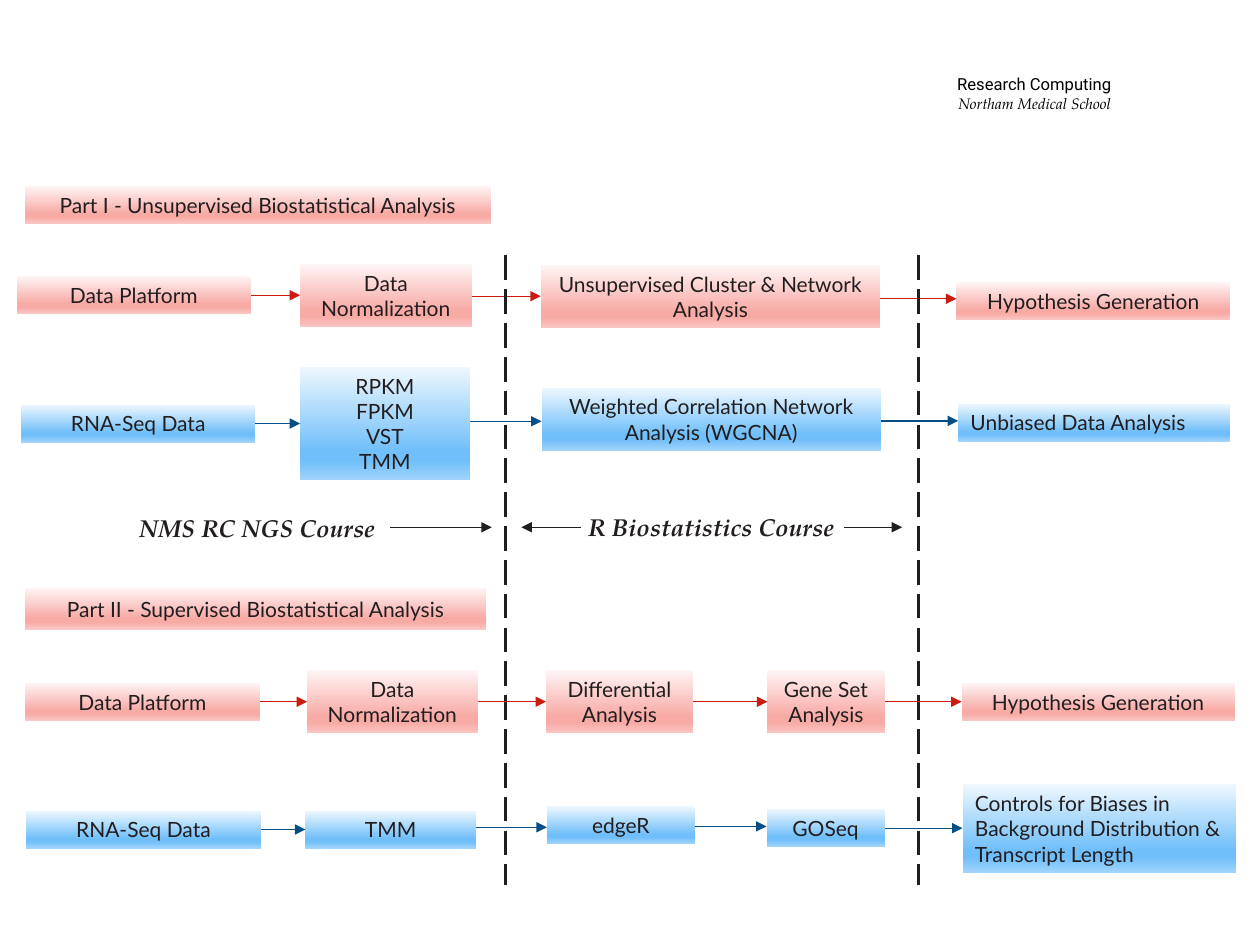
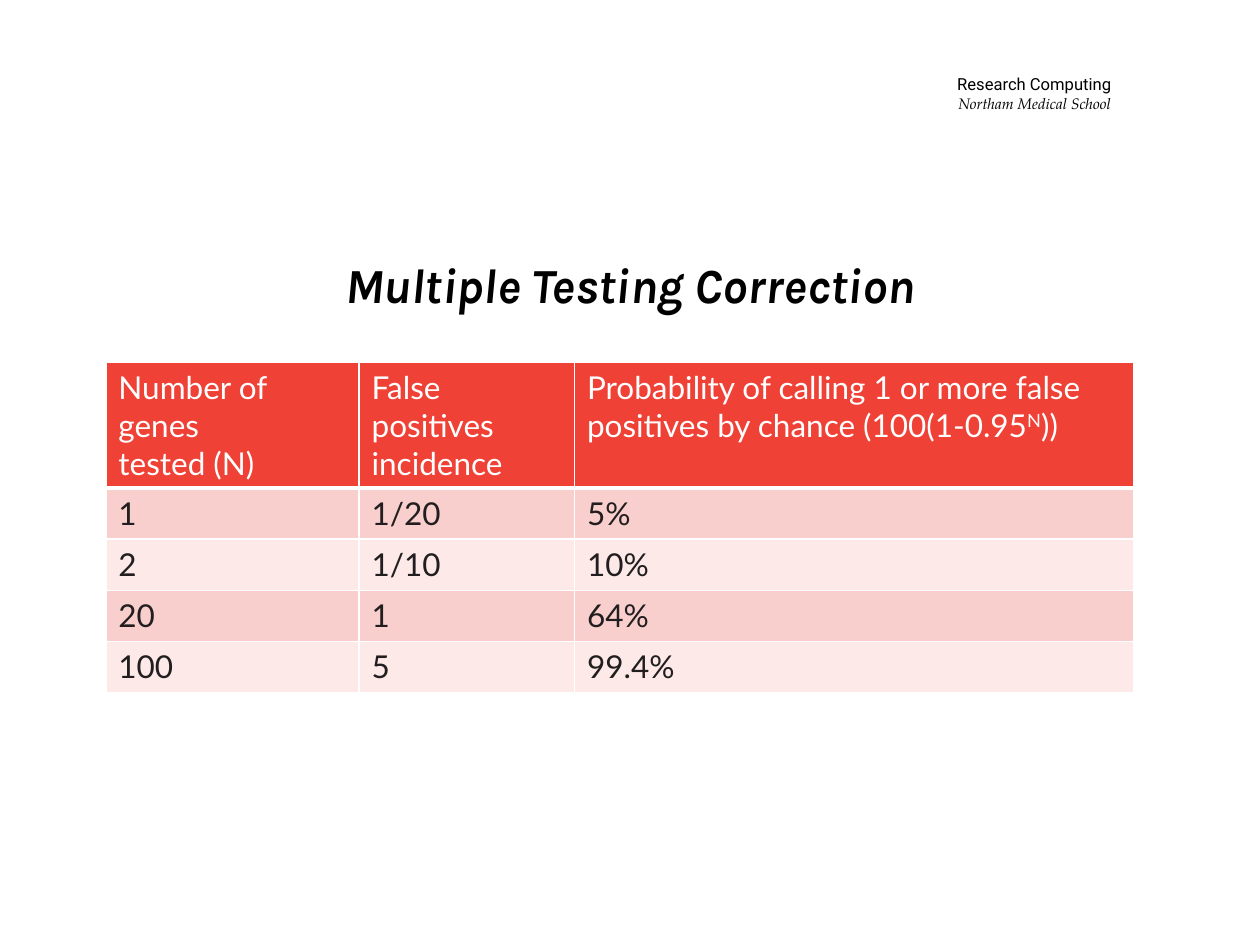
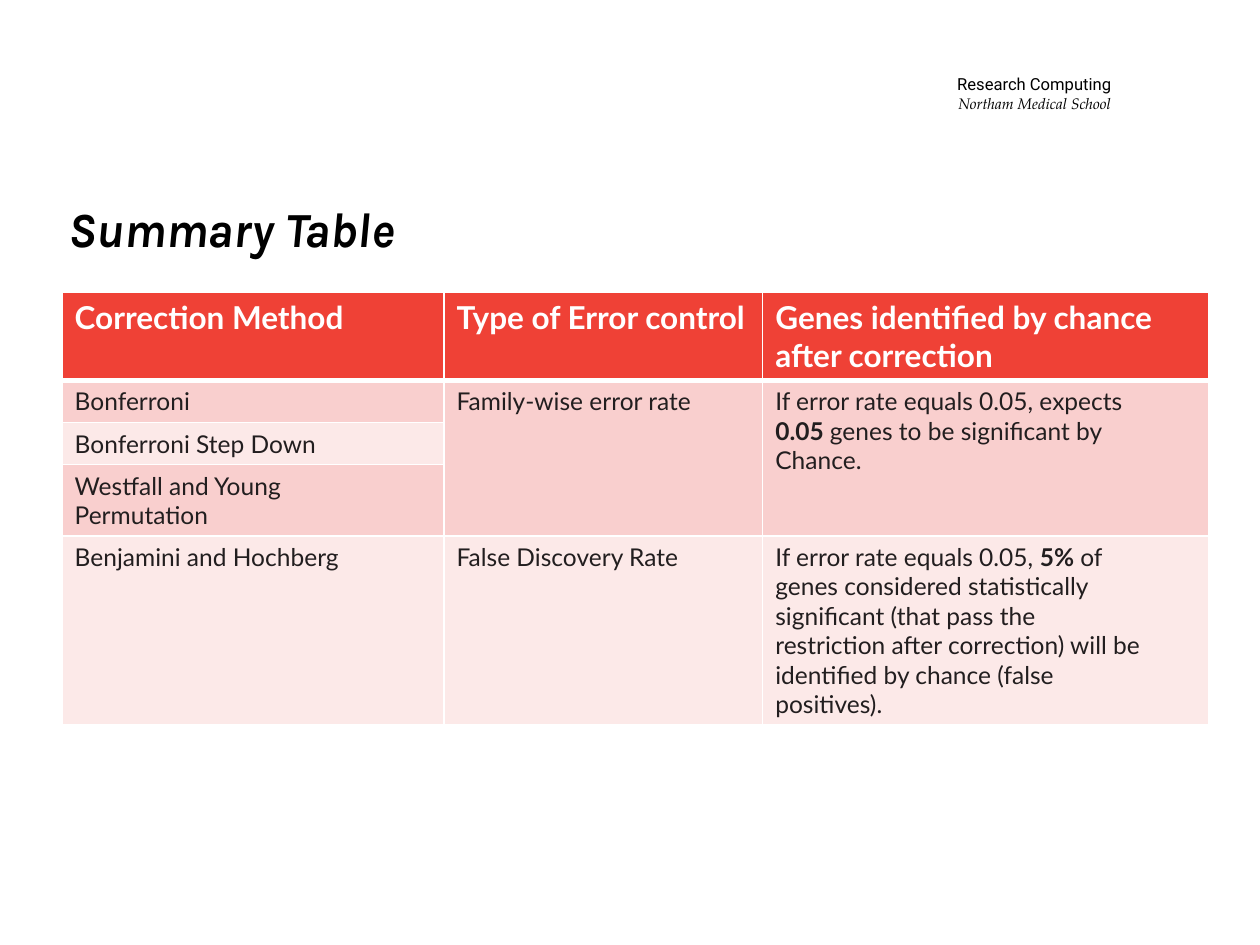
from itertools import pairwise

from lxml.etree import SubElement
from pptx import Presentation
from pptx.dml.color import RGBColor
from pptx.enum.dml import MSO_LINE
from pptx.enum.shapes import MSO_CONNECTOR, MSO_SHAPE
from pptx.enum.text import MSO_ANCHOR, MSO_AUTO_SIZE, PP_ALIGN
from pptx.oxml.ns import qn
from pptx.oxml.xmlchemy import OxmlElement
from pptx.util import Pt

COLORS = {
    "black": "000000", "ink": "221E1F", "white": "FFFFFF",
    "red": "CC1B10", "blue": "054E86",
    "header": "EF4136", "band_dark": "F9CFCE", "band_light": "FCE9E8",
}
# Gradient stops, top to bottom: position in percent and colour
GRADIENTS = {
    "red": [(0, "FEF5F5"), (74, "F8AAA5"), (83, "F8AAA5"), (100, "FAC6C3")],
    "blue": [(0, "EFF8FE"), (74, "71BFFA"), (83, "71BFFA"), (100, "A1D4FC")],
}
BODY, TITLE, SERIF, SANS = "Lato", "Karla", "TeX Gyre Pagella", "Roboto"
LINE_HEIGHT, PADDING = 14.4, 7.2


def rgb(name):
    return RGBColor.from_string(COLORS[name])


def style(p, font, size, color, align=PP_ALIGN.LEFT, bold=False, italic=False):
    p.alignment = align
    p.font.name, p.font.size = font, Pt(size)
    p.font.bold, p.font.italic = bold, italic
    p.font.color.rgb = rgb(color)


def add_label(slide, text, x, y, w, h):
    """Bold italic serif label, centred."""
    tf = slide.shapes.add_textbox(Pt(x), Pt(y), Pt(w), Pt(h)).text_frame
    tf.word_wrap = True
    tf.text = text
    style(tf.paragraphs[0], SERIF, 14, "ink", PP_ALIGN.CENTER, True, True)


def add_header(slide):
    """Department lines at the top right of every slide."""
    tf = slide.shapes.add_textbox(Pt(458.6), Pt(29.5), Pt(182.2), Pt(47.5)).text_frame
    tf.word_wrap = True
    tf.vertical_anchor = MSO_ANCHOR.MIDDLE
    tf.margin_left = tf.margin_right = Pt(5.8)
    tf.margin_top = tf.margin_bottom = Pt(2.9)
    tf.text = "Research Computing\nNortham Medical School"
    department, school = tf.paragraphs
    style(department, SANS, 9.5, "black", PP_ALIGN.RIGHT)
    style(school, SERIF, 8.7, "black", PP_ALIGN.RIGHT, italic=True)


def set_title(slide, text, x, y, w, align):
    s = slide.shapes.title
    s.left, s.top, s.width, s.height = Pt(x), Pt(y), Pt(w), Pt(41)
    tf = s.text_frame
    tf.text = text
    tf.word_wrap = True
    tf.auto_size = MSO_AUTO_SIZE.NONE
    tf.vertical_anchor = MSO_ANCHOR.TOP
    style(tf.paragraphs[0], TITLE, 28, "black", align, True, True)


def fill_gradient(shape, stops):
    shape.fill.gradient()
    shape.fill.gradient_angle = 270
    gs_lst = shape._element.spPr.find(qn("a:gradFill")).find(qn("a:gsLst"))
    gs_lst.clear()
    for pos, color in stops:
        gs = SubElement(gs_lst, qn("a:gs"), pos=str(pos * 1000))
        SubElement(gs, qn("a:srgbClr"), val=color)


def add_box(slide, hue, text, x, mid, w, lines=1, align=PP_ALIGN.CENTER):
    """Gradient box, as tall as its lines, centred on the height mid."""
    h = lines * LINE_HEIGHT + PADDING
    s = slide.shapes.add_shape(MSO_SHAPE.RECTANGLE, Pt(x), Pt(mid - h / 2), Pt(w), Pt(h))
    s.shadow.inherit = False
    s.line.fill.background()
    fill_gradient(s, GRADIENTS[hue])
    tf = s.text_frame
    tf.word_wrap = True
    tf.vertical_anchor = MSO_ANCHOR.MIDDLE
    tf.text = text
    for p in tf.paragraphs:
        style(p, BODY, 12, "ink", align)


def add_line(slide, color, x1, y1, x2, y2, width=0.75, arrow=True):
    """Straight line, with an arrowhead at its end unless arrow is False."""
    c = slide.shapes.add_connector(MSO_CONNECTOR.STRAIGHT, Pt(x1), Pt(y1), Pt(x2), Pt(y2))
    c.line.color.rgb = rgb(color)
    c.line.width = Pt(width)
    if arrow:
        SubElement(c.line._get_or_add_ln(), qn("a:tailEnd"), type="triangle")
    SubElement(c._element.spPr, qn("a:effectLst"))
    return c


def add_flow(slide, hue, boxes):
    """Row of boxes joined by arrows."""
    for box in boxes:
        add_box(slide, hue, *box)
    for (_, x, mid, w, *_), (_, next_x, next_mid, *_) in pairwise(boxes):
        y = (mid + next_mid) / 2
        add_line(slide, hue, x + w, y, next_x, y)


def set_borders(cell, top, bottom):
    tc_pr = cell._tc.get_or_add_tcPr()
    for i, (side, width) in enumerate(zip("LRTB", (1, 1, top, bottom))):
        ln = OxmlElement(f"a:ln{side}")
        ln.set("w", str(Pt(width)))
        fill = SubElement(ln, qn("a:solidFill"))
        SubElement(fill, qn("a:srgbClr"), val=COLORS["white"])
        tc_pr.insert(i, ln)


def write_cell(cell, text, size, color, bold, superscript):
    """Text between bars is raised if superscript is set, otherwise bold."""
    tf = cell.text_frame
    for i, line in enumerate(text.split("\n")):
        p = tf.add_paragraph() if i else tf.paragraphs[0]
        style(p, BODY, size, color, bold=bold)
        for j, part in enumerate(line.split("|")):
            r = p.add_run()
            r.text = part
            if j % 2 and superscript:
                r._r.get_or_add_rPr().set("baseline", "30000")
            elif j % 2:
                r.font.bold = True


def add_banded_table(slide, x, y, widths, heights, rows, size,
                     bold_header=False, superscript=False, merges=()):
    frame = slide.shapes.add_table(len(rows), len(widths), Pt(x), Pt(y),
                                   Pt(sum(widths)), Pt(sum(heights)))
    table = frame.table
    table.horz_banding = False
    for column, w in zip(table.columns, widths):
        column.width = Pt(w)
    for row, h in zip(table.rows, heights):
        row.height = Pt(h)
    for i, texts in enumerate(rows):
        band = "band_dark" if i % 2 else "band_light"
        for j, text in enumerate(texts):
            cell = table.cell(i, j)
            cell.fill.solid()
            cell.fill.fore_color.rgb = rgb(band if i else "header")
            set_borders(cell, 3 if i == 1 else 1, 1 if i else 3)
            if text and i:
                write_cell(cell, text, size, "ink", False, superscript)
            elif text:
                write_cell(cell, text, 18, "white", bold_header, superscript)
    for first, last, column in merges:
        table.cell(first, column).merge(table.cell(last, column))


def build_workflow(slide):
    # Part I
    add_box(slide, "red", "Part I - Unsupervised Biostatistical Analysis", 14.4, 117, 266)
    add_flow(slide, "red", [
        ("Data Platform", 9.5, 168.5, 134),
        ("Data\nNormalization", 171.5, 169, 98, 2),
        ("Unsupervised Cluster & Network Analysis", 309, 169.5, 194, 2),
        ("Hypothesis Generation", 546.5, 172, 156.5),
    ])
    add_flow(slide, "blue", [
        ("RNA-Seq Data", 12, 242, 134),
        ("RPKM\nFPKM\nVST\nTMM", 171.5, 242, 97, 4),
        ("Weighted Correlation Network Analysis (WGCNA)", 309.5, 239.5, 194, 2),
        ("Unbiased Data Analysis", 547.5, 241.5, 155.5, 1, PP_ALIGN.LEFT),
    ])
    # Course boundaries and names
    for x in (289, 525):
        divider = add_line(slide, "ink", x, 146, x, 506, 1.75, arrow=False)
        divider.line.dash_style = MSO_LINE.LONG_DASH
    add_label(slide, "NMS RC NGS Course", 45, 289.5, 204, 24.5)
    add_label(slide, "R Biostatistics Course", 304.5, 289, 204, 24.5)
    for x1, x2 in ((223, 281), (332, 298), (482.5, 515.5)):
        add_line(slide, "ink", x1, 301.3, x2, 301.3)
    # Part II
    add_box(slide, "red", "Part II - Supervised Biostatistical Analysis", 14.4, 347.8, 263.5, 1.15)
    add_flow(slide, "red", [
        ("Data Platform", 14.4, 401, 134),
        ("Data\nNormalization", 175.5, 401, 97.5, 2),
        ("Differential Analysis", 312, 401, 84, 2),
        ("Gene Set\nAnalysis", 438.5, 401, 67, 2),
        ("Hypothesis Generation", 549.5, 401, 156),
    ])
    add_flow(slide, "blue", [
        ("RNA-Seq Data", 15, 474, 134),
        ("TMM", 174.5, 474, 97.5),
        ("edgeR", 312.5, 471.5, 84.5),
        ("GOSeq", 438, 473, 67.5),
        ("Controls for Biases in Background Distribution & Transcript Length",
         550, 473.5, 156.5, 3, PP_ALIGN.LEFT),
    ])


def build_testing(slide):
    set_title(slide, "Multiple Testing Correction", 0, 142, 720, PP_ALIGN.CENTER)
    add_banded_table(slide, 60.5, 206.9, [144.7, 123.1, 319.7], [72] + [29.2] * 4, [
        ("Number of genes\ntested (N)", "False positives\nincidence",
         "Probability of calling 1 or more false positives by chance (100(1-0.95|N|))"),
        ("1", "1/20", "5%"),
        ("2", "1/10", "10%"),
        ("20", "1", "64%"),
        ("100", "5", "99.4%"),
    ], 18, superscript=True)


def build_summary(slide):
    set_title(slide, "Summary Table", 32, 110, 530, PP_ALIGN.LEFT)
    add_banded_table(slide, 35.5, 167, [218.2, 182.2, 254.9], [50.4, 24, 24, 40.8, 108], [
        ("Correction Method", "Type of Error control",
         "Genes identified by chance after correction"),
        ("Bonferroni", "Family-wise error rate",
         "If error rate equals 0.05, expects\n|0.05 |genes to be significant by\nChance."),
        ("Bonferroni Step Down", "", ""),
        ("Westfall and Young\nPermutation", "", ""),
        ("Benjamini and Hochberg", "False Discovery Rate",
         "If error rate equals 0.05, |5% |of\ngenes considered statistically\n"
         "significant (that pass the\nrestriction after correction) will be "
         "identified by chance (false\npositives)."),
    ], 14, bold_header=True, merges=[(1, 3, 1), (1, 3, 2)])


def main():
    prs = Presentation()
    prs.slide_width, prs.slide_height = Pt(720), Pt(540)
    title_only, blank = prs.slide_layouts[5], prs.slide_layouts[6]
    for layout, build in ((blank, build_workflow), (title_only, build_testing),
                          (title_only, build_summary)):
        slide = prs.slides.add_slide(layout)
        add_header(slide)
        build(slide)
    prs.save("out.pptx")


main()
